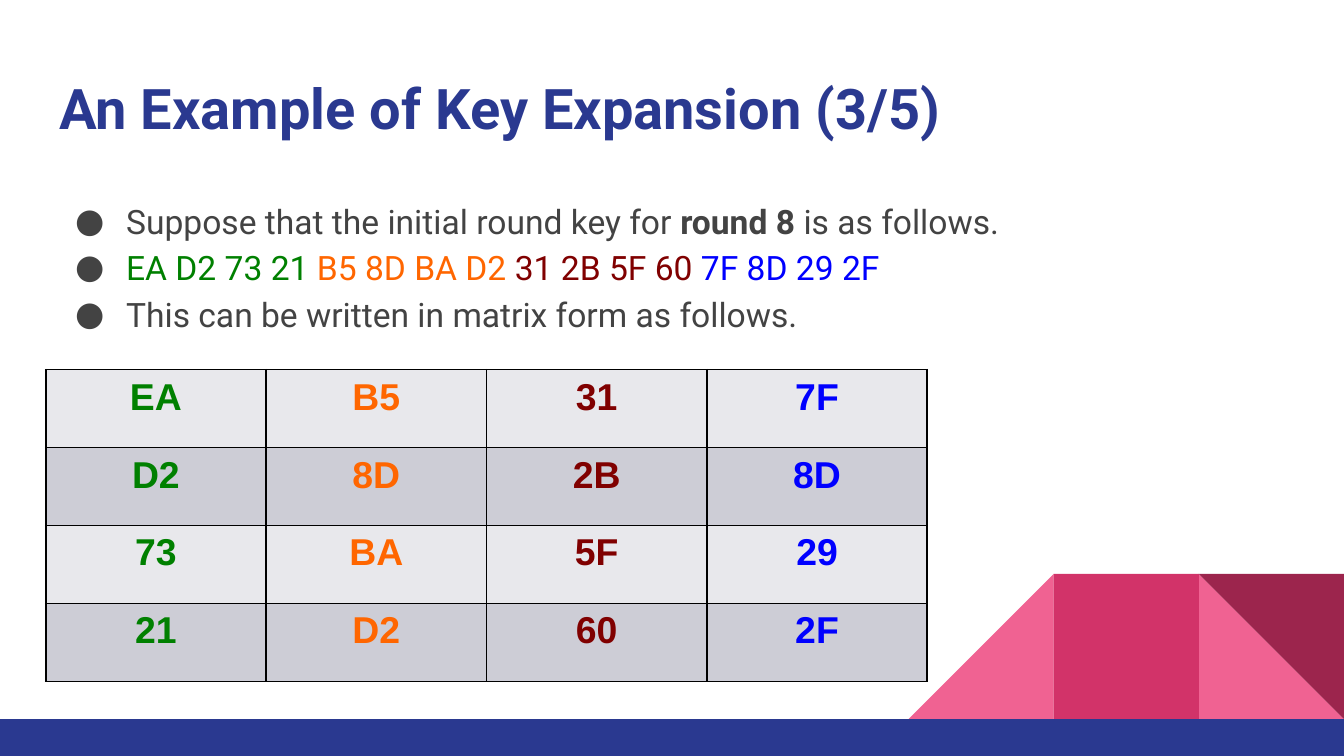
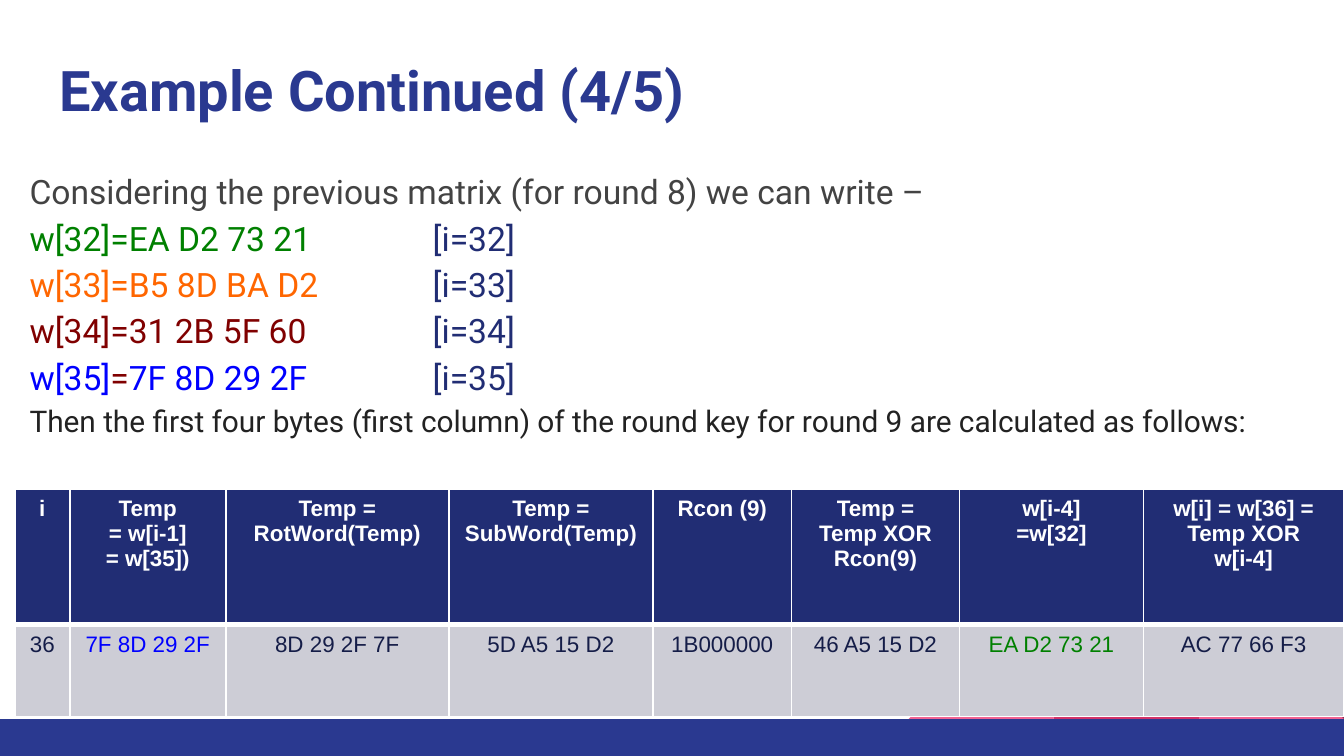
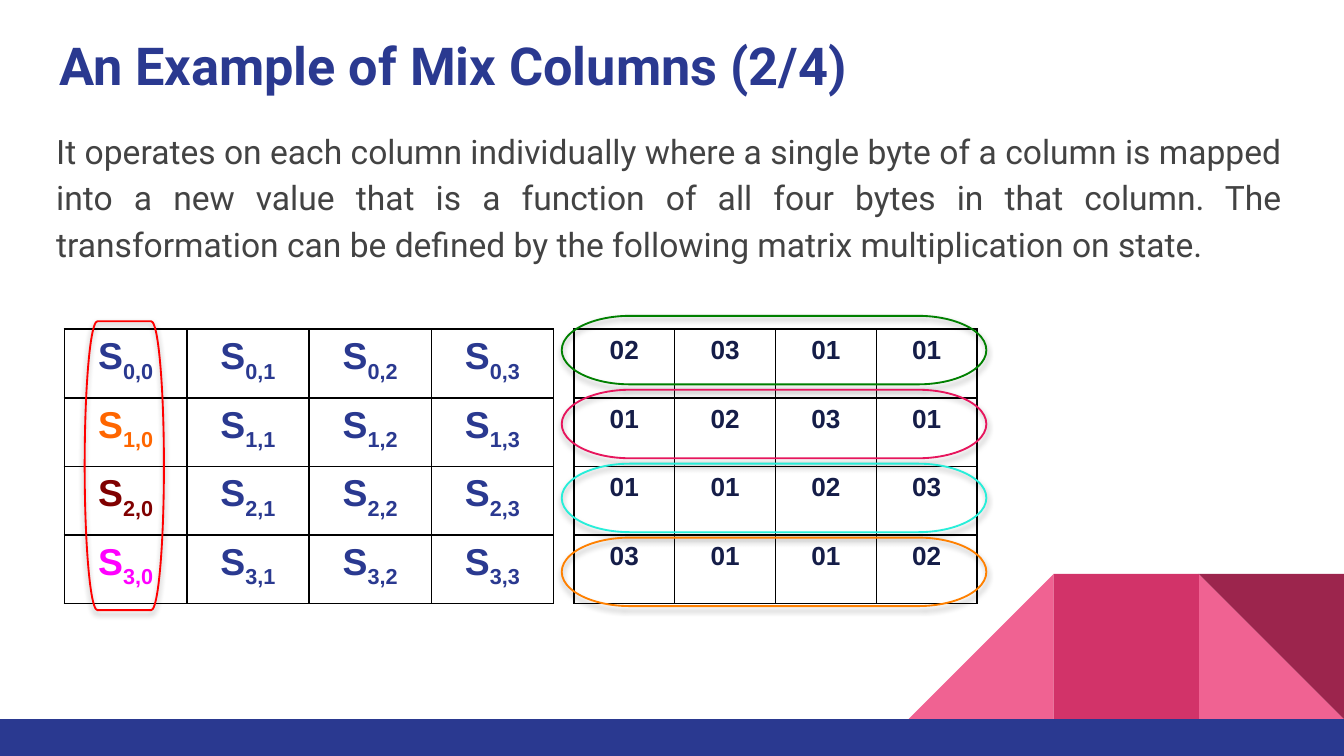
from lxml import etree
from pptx import Presentation
from pptx.dml.color import RGBColor
from pptx.enum.shapes import MSO_SHAPE
from pptx.enum.text import MSO_ANCHOR, MSO_AUTO_SIZE, PP_ALIGN
from pptx.oxml.ns import qn
from pptx.util import Inches, Pt

LEFT, MID, JUST = PP_ALIGN.LEFT, PP_ALIGN.CENTER, PP_ALIGN.JUSTIFY
TOP = MSO_ANCHOR.TOP
FIXED = MSO_AUTO_SIZE.NONE
RECT, WEDGE = MSO_SHAPE.RECTANGLE, MSO_SHAPE.RIGHT_TRIANGLE
PILL = MSO_SHAPE.FLOWCHART_TERMINATOR

FACE, GRID_FACE = "Roboto", "Arial"
COLORS = {
    "navy": "2A3990", "deep": "212D74", "night": "151D48", "gray": "434343",
    "ink": "222222", "white": "FFFFFF", "black": "000000",
    "pink": "F06292", "rose": "D23369", "wine": "9C254D",
    "green": "008000", "orange": "FF6600", "maroon": "800000", "blue": "0000FF",
    "magenta": "FF00FF", "red": "FF0000", "cherry": "E7165D", "aqua": "27EED9",
    "amber": "FF8000", "pale": "E8E8EC", "band": "CDCDD6",
}
WORDS = ["EA D2 73 21", "B5 8D BA D2", "31 2B 5F 60", "7F 8D 29 2F"]
TINTS = ["green", "orange", "maroon", "blue"]


def rgb(name):
    return RGBColor.from_string(COLORS[name])


def node(parent, tag, **attrs):
    """Append a drawing element to parent."""
    child = etree.SubElement(parent, qn(tag))
    for key, value in attrs.items():
        child.set(key, str(value))
    return child


class Deck:
    def __init__(self):
        self.prs = Presentation()
        self.prs.slide_width = Inches(10)
        self.prs.slide_height = Inches(10) * 9 // 16
        self.slide = None

    def start(self, title, top, size=30):
        """Add a slide with its title, corner shapes and bottom band."""
        self.slide = self.prs.slides.add_slide(self.prs.slide_layouts[5])
        head = self.slide.shapes.title
        self.place(head, 0.34, top, 9.32, 0.66)
        frame = head.text_frame
        frame.text = title
        frame.word_wrap = True
        frame.auto_size = FIXED
        frame.vertical_anchor = TOP
        self.inset(frame)
        frame.paragraphs[0].alignment = LEFT
        self.style(frame.paragraphs[0].runs[0], "navy", size, bold=True)
        side = 1.08
        for kind, left, fill, turn in [(WEDGE, 8.92, "pink", 0), (WEDGE, 6.76, "pink", 270),
                                       (RECT, 7.84, "rose", 0), (WEDGE, 8.92, "wine", 180)]:
            self.shape(kind, left, 4.27, side, side, fill).rotation = turn
        self.shape(RECT, 0, 5.35, 10, 0.28, "navy")

    def place(self, item, left, top, width, height):
        item.left, item.top = Inches(left), Inches(top)
        item.width, item.height = Inches(width), Inches(height)

    def inset(self, frame, left=0.1):
        frame.margin_left = Inches(left)
        frame.margin_right = frame.margin_top = frame.margin_bottom = Inches(0.1)

    def style(self, run, color, size, face=FACE, bold=False):
        font = run.font
        font.name, font.size, font.bold = face, Pt(size), bold
        font.color.rgb = rgb(color)

    def shape(self, kind, left, top, width, height, fill):
        item = self.slide.shapes.add_shape(
            kind, Inches(left), Inches(top), Inches(width), Inches(height))
        item.shadow.inherit = False
        item.line.fill.background()
        if fill:
            item.fill.solid()
            item.fill.fore_color.rgb = rgb(fill)
        else:
            item.fill.background()
        return item

    def ring(self, left, top, width, height, color):
        """Outline a group of cells, with a soft shadow below."""
        item = self.shape(PILL, left, top, width, height, None)
        item.line.color.rgb = rgb(color)
        item.line.width = Pt(1)
        effects = item._element.spPr.find(qn("a:effectLst"))
        shade = node(effects, "a:outerShdw", blurRad=Pt(3.1), dist=Pt(1.8),
                     dir=5400000, rotWithShape=0)
        tone = node(shade, "a:srgbClr", val=COLORS["black"])
        node(tone, "a:alpha", val=35000)

    def body(self, left, top, width, height, paras, bullet=False, tab=None,
             align=LEFT, inset=0.1):
        """Add text; each paragraph is a list of (text, color, size, bold) runs."""
        box = self.slide.shapes.add_textbox(
            Inches(left), Inches(top), Inches(width), Inches(height))
        frame = box.text_frame
        frame.word_wrap = True
        self.inset(frame, inset)
        for i, parts in enumerate(paras):
            para = frame.add_paragraph() if i else frame.paragraphs[0]
            props = para._p.get_or_add_pPr()
            if bullet:
                props.set("marL", str(Inches(0.5)))
                props.set("indent", str(Inches(-0.38)))
                node(node(props, "a:buClr"), "a:srgbClr", val=COLORS["gray"])
                node(props, "a:buFont", typeface=FACE)
                node(props, "a:buChar", char="●")
            if tab:
                node(node(props, "a:tabLst"), "a:tab", pos=Inches(tab), algn="l")
            para.line_spacing = 1.15
            para.alignment = align
            for text, color, size, bold in parts:
                run = para.add_run()
                run.text = text
                self.style(run, color, size, bold=bold)

    def table(self, left, top, cols, rows, head=False):
        grid = self.slide.shapes.add_table(
            len(rows), len(cols), Inches(left), Inches(top),
            Inches(sum(cols)), Inches(sum(rows))).table
        grid.first_row = head
        grid.horz_banding = False
        for col, width in zip(grid.columns, cols):
            col.width = Inches(width)
        for row, height in zip(grid.rows, rows):
            row.height = Inches(height)
        return grid

    def cell(self, cell, text, color, size, bold=True, fill=None, edge="black",
             foot=1, sub=""):
        """Fill and format one cell; foot is the width of its lower edge."""
        cell.text_frame.text = text
        if sub:
            low = cell.text_frame.paragraphs[0].add_run()
            low.text = sub
            low.font._element.set("baseline", "-25000")
        for para in cell.text_frame.paragraphs:
            para.alignment = MID
            for run in para.runs:
                self.style(run, color, size, GRID_FACE, bold)
        if fill:
            cell.fill.solid()
            cell.fill.fore_color.rgb = rgb(fill)
        else:
            cell.fill.background()
        props = cell._tc.get_or_add_tcPr()
        for i, side in enumerate("LRTB"):
            line = node(props, "a:ln" + side, w=Pt(foot if side == "B" else 1))
            node(node(line, "a:solidFill"), "a:srgbClr", val=COLORS[edge])
            props.insert(i, line)


def plain(text, color="gray", size=18, bold=False):
    return text, color, size, bold


def key_slide(deck):
    deck.start("An Example of Key Expansion (3/5)", 0.45)
    last = len(WORDS) - 1
    deck.body(0.34, 1.35, 9.32, 1.3, [
        [plain("Suppose that the initial round key for "),
         plain("round 8", bold=True), plain(" is as follows.")],
        [plain(word + (" " if i < last else ""), TINTS[i]) for i, word in enumerate(WORDS)],
        [plain("This can be written in matrix form as follows.")],
    ], bullet=True)
    grid = deck.table(0.34, 2.75, [1.64] * 4, [0.58] * 4)
    for c, word in enumerate(WORDS):
        for r, byte in enumerate(word.split()):
            deck.cell(grid.cell(r, c), byte, TINTS[c], 20, fill=("pale", "band")[r % 2])


def word_slide(deck):
    deck.start("Example Continued (4/5)", 0.31)
    paras = [[plain("Considering the previous matrix (for round 8) we can write –")]]
    for i, (word, tint) in enumerate(zip(WORDS, TINTS), 32):
        sign = "maroon" if tint == "blue" else tint
        paras.append([plain(f"w[{i}]", tint), plain("=", sign),
                      plain(word + "\t", tint), plain(f"[i={i}]", "deep")])
    paras.append([plain("Then the first four bytes (first column) of the round key "
                        "for round 9 are calculated as follows:", "ink", 16)])
    deck.body(0, 1.13, 10, 2.4, paras, tab=3, inset=0.22)
    steps = [
        (0.41, "i", "36", "night"),
        (1.16, "Temp\n= w[i-1]\n= w[35])", WORDS[3], "blue"),
        (1.66, "Temp = RotWord(Temp)", "8D 29 2F 7F", "night"),
        (1.52, "Temp = SubWord(Temp)", "5D A5 15 D2", "night"),
        (1.03, "Rcon (9)", "1B000000", "night"),
        (1.25, "Temp =\nTemp XOR Rcon(9)", "46 A5 15 D2", "night"),
        (1.37, "w[i-4]\n=w[32]", WORDS[0], "green"),
        (1.49, "w[i] = w[36] = Temp XOR w[i-4]", "AC 77 66 F3", "night"),
    ]
    grid = deck.table(0.11, 3.64, [step[0] for step in steps], [1.01, 0.68], head=True)
    for c, (_, name, value, tint) in enumerate(steps):
        deck.cell(grid.cell(0, c), name, "white", 12, fill="deep", edge="white", foot=3)
        deck.cell(grid.cell(1, c), value, tint, 12, bold=False, fill="band", edge="white")


def mix_slide(deck):
    deck.start("An Example of Mix Columns (2/4)", 0.15, 28)
    deck.body(0.32, 0.83, 9.32, 1.3, [[plain(
        "It operates on each column individually where a single byte of a column is "
        "mapped into a new value that is a function of all four bytes in that column. "
        "The transformation can be defined by the following matrix multiplication "
        "on state.")]], align=JUST)
    state = deck.table(0.48, 2.45, [0.91] * 4, [0.51] * 4)
    first = ["navy", "orange", "maroon", "magenta"]
    mix = deck.table(4.27, 2.45, [0.75] * 4, [0.51] * 4)
    base = ["02", "03", "01", "01"]
    for r in range(4):
        for c in range(4):
            deck.cell(state.cell(r, c), "S", "navy" if c else first[r], 20, sub=f"{r},{c}")
            deck.cell(mix.cell(r, c), base[(c - r) % 4], "night", 14)
    deck.ring(0.63, 2.39, 0.59, 2.15, "red")
    for r, color in enumerate(["green", "cherry", "aqua", "amber"]):
        deck.ring(4.18, 2.35 + 0.55 * r, 3.16, 0.51, color)


def main():
    deck = Deck()
    key_slide(deck)
    word_slide(deck)
    mix_slide(deck)
    deck.prs.save("out.pptx")


if __name__ == "__main__":
    main()
